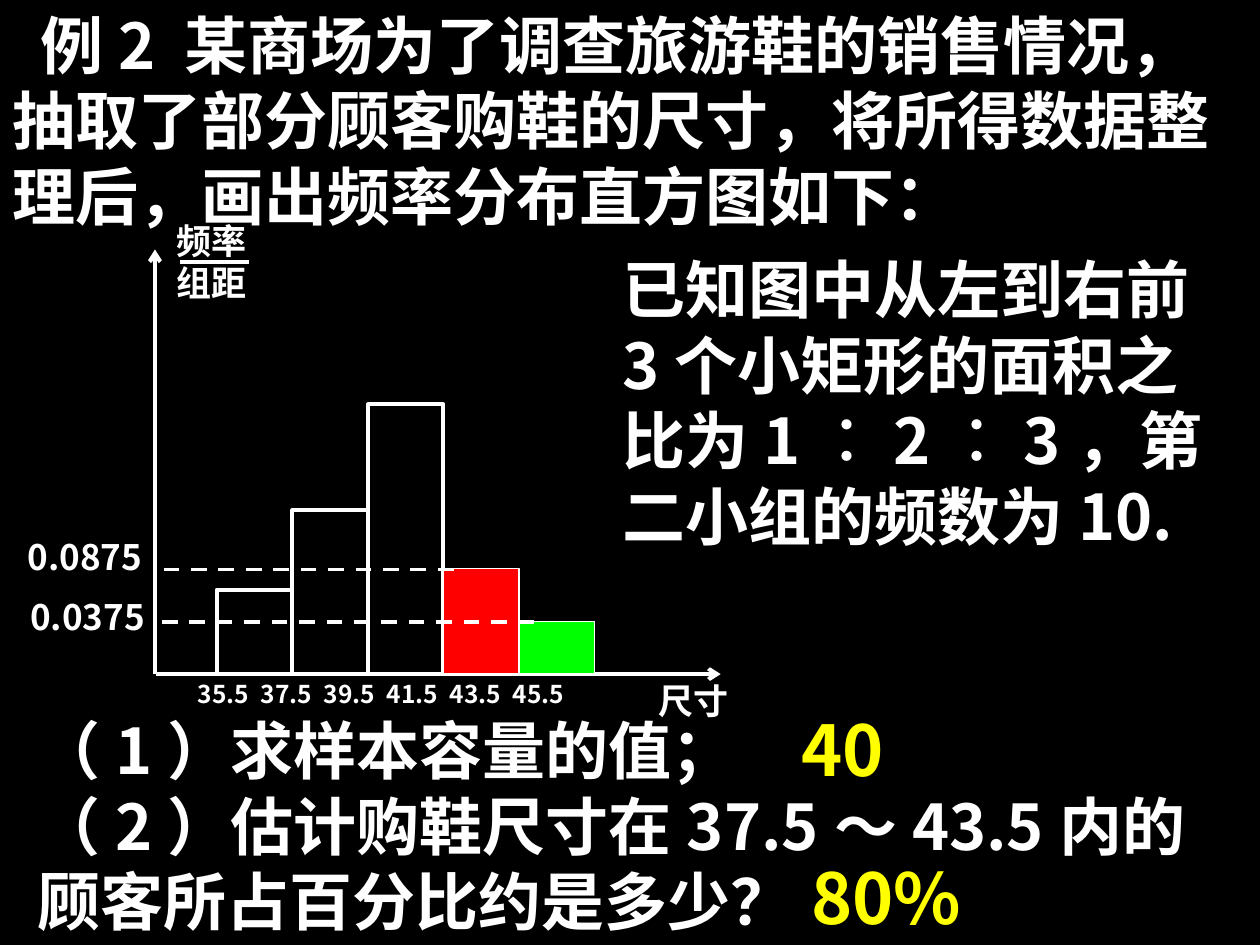
from lxml.etree import SubElement
from pptx import Presentation
from pptx.dml.color import RGBColor
from pptx.enum.dml import MSO_LINE_DASH_STYLE as DASH
from pptx.enum.shapes import MSO_CONNECTOR, MSO_SHAPE
from pptx.enum.text import MSO_AUTO_SIZE as AUTO_SIZE
from pptx.oxml.ns import qn
from pptx.util import Inches, Pt

COLORS = {"black": "000000", "white": "FFFFFF", "yellow": "FFFF00",
          "red": "FF0000", "green": "00FF00"}
SANS = "Noto Sans CJK SC"
SERIF = "Times New Roman"


def color(name):
    return RGBColor.from_string(COLORS[name])


class SlideBuilder:
    """Holds the style and the current slide."""

    def __init__(self, slide, line_width=2.25):
        self.slide = slide
        self.line_width = line_width
        background = slide.background.fill
        background.solid()
        background.fore_color.rgb = color("black")

    def text(self, box, lines, size, font=SANS, fill="white", grow=False,
             indent=0, tab_stops=()):
        shape = self.slide.shapes.add_textbox(*map(Inches, box))
        frame = shape.text_frame
        frame.word_wrap = True
        frame.auto_size = AUTO_SIZE.SHAPE_TO_FIT_TEXT if grow else AUTO_SIZE.NONE
        frame.text = "\n".join(lines)
        for paragraph in frame.paragraphs:
            properties = paragraph._p.get_or_add_pPr()
            if indent:
                properties.set("indent", str(Inches(indent)))
            if tab_stops:
                tab_list = SubElement(properties, qn("a:tabLst"))
                for stop in tab_stops:
                    SubElement(tab_list, qn("a:tab"), pos=str(Inches(stop)), algn="l")
            for run in paragraph.runs:
                run.font.size = Pt(size)
                run.font.bold = True
                run.font.color.rgb = color(fill)
                run.font.name = font
                SubElement(run._r.get_or_add_rPr(), qn("a:ea"), typeface=SANS)

    def line(self, start, end, arrow=False, dashed=False):
        connector = self.slide.shapes.add_connector(
            MSO_CONNECTOR.STRAIGHT, *map(Inches, (*start, *end)))
        connector.line.color.rgb = color("white")
        connector.line.width = Pt(self.line_width)
        if dashed:
            connector.line.dash_style = DASH.DASH
        if arrow:
            SubElement(connector.line._get_or_add_ln(), qn("a:tailEnd"), type="arrow")
        SubElement(connector._element.spPr, qn("a:effectLst"))

    def bar(self, box, fill=None):
        shape = self.slide.shapes.add_shape(MSO_SHAPE.RECTANGLE, *map(Inches, box))
        shape.shadow.inherit = False
        shape.line.color.rgb = color("white")
        if fill:
            shape.fill.solid()
            shape.fill.fore_color.rgb = color(fill)
            shape.line.width = Pt(0.75)
        else:
            shape.fill.background()
            shape.line.width = Pt(self.line_width)


def main():
    presentation = Presentation()
    presentation.slide_width = Inches(10)
    presentation.slide_height = Inches(7.5)
    builder = SlideBuilder(presentation.slides.add_slide(presentation.slide_layouts[6]))

    # Problem statement
    builder.text((0, 0, 10, 1.9),
                 ["例2 某商场为了调查旅游鞋的销售情况，抽取了部分顾客购鞋的尺寸，"
                  "将所得数据整理后，画出频率分布直方图如下："],
                 36, grow=True, indent=0.22)

    # Axes
    baseline = 5.35
    builder.line((1.24, baseline), (5.72, baseline), arrow=True)
    builder.line((1.23, baseline), (1.23, 1.98), arrow=True)

    # Axis labels: sizes on equal tab stops, then the fraction of the vertical axis
    sizes = [35.5 + 2 * step for step in range(6)]
    builder.text((1.47, 5.34, 3.86, 0.63), ["\t".join(map(str, sizes))], 14,
                 tab_stops=[0.5 * step for step in range(1, 6)])
    builder.text((5.13, 5.34, 1, 0.57), ["尺寸"], 20, font=SERIF)
    builder.text((1.3, 1.69, 0.87, 0.87), ["频率", "组距"], 20, font=SERIF)
    builder.line((1.43, 2.08), (1.98, 2.08))
    builder.text((0.14, 4.68, 1.26, 0.63), ["0.0375"], 20)
    builder.text((0.12, 4.2, 1.47, 0.63), ["0.0875"], 20)

    # Histogram bars, side by side on the baseline
    bar_width = 0.6
    bars = [(0.67, None), (1.3, None), (2.14, None), (0.84, "red"), (0.42, "green")]
    for index, (height, fill) in enumerate(bars):
        left = 1.72 + index * bar_width
        builder.bar((left, baseline - height, bar_width, height), fill)

    # Dashed guides to the last two bars
    builder.line((3.6, 4.52), (1.21, 4.52), dashed=True)
    builder.line((4.24, 4.94), (1.24, 4.94), dashed=True)

    # Given conditions
    builder.text((4.84, 1.94, 4.96, 2.5),
                 ["已知图中从左到右前3个小矩形的面积之比为1︰2︰3，第二小组的频数为10."],
                 36, grow=True)

    # Questions and answers
    builder.text((0.2, 5.6, 9.8, 1.9),
                 ["（1）求样本容量的值；",
                  "（2）估计购鞋尺寸在37.5～43.5内的顾客所占百分比约是多少？"],
                 36, grow=True)
    builder.text((6.26, 5.56, 1.34, 0.77), ["40"], 40, fill="yellow", grow=True)
    builder.text((6.34, 6.73, 1.5, 0.77), ["80%"], 40, fill="yellow", grow=True)

    presentation.save("out.pptx")


if __name__ == "__main__":
    main()
